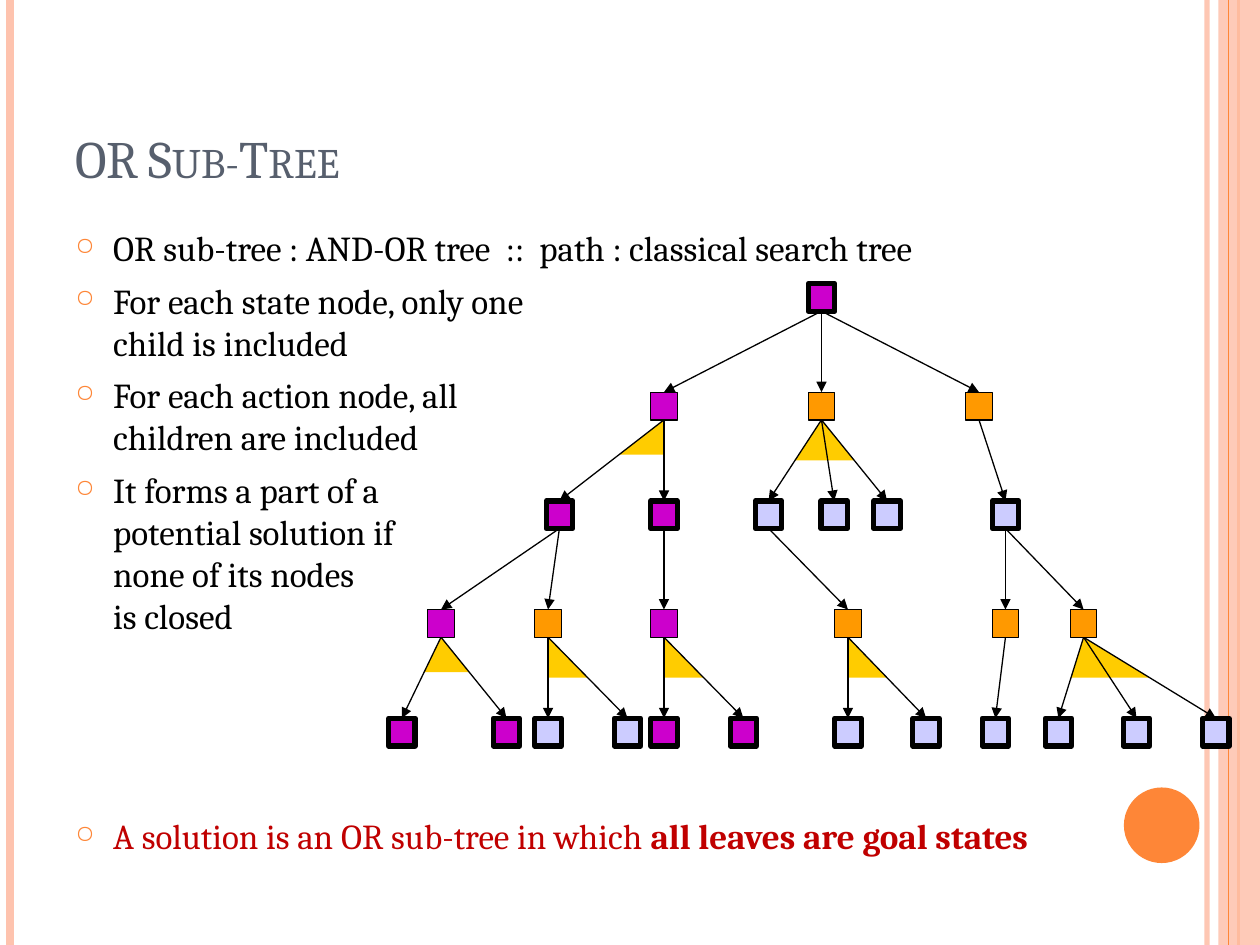
"""Build the slide on OR sub-trees of an AND-OR search tree."""
from lxml import etree
from pptx import Presentation
from pptx.dml.color import RGBColor
from pptx.enum.shapes import MSO_CONNECTOR, MSO_SHAPE
from pptx.enum.text import MSO_ANCHOR, MSO_AUTO_SIZE, PP_ALIGN
from pptx.oxml.ns import qn
from pptx.util import Inches, Pt

LINE = MSO_CONNECTOR.STRAIGHT
RECT, OVAL = MSO_SHAPE.RECTANGLE, MSO_SHAPE.OVAL
BOTTOM, TOP = MSO_ANCHOR.BOTTOM, MSO_ANCHOR.TOP
LEFT, FIXED = PP_ALIGN.LEFT, MSO_AUTO_SIZE.NONE


class Theme:
    font = "Cambria"
    title, body = Pt(30), Pt(20)
    slate, black, red = "575F6D", "000000", "C00000"
    pink, orange = "FEC3AE", "FE8637"
    picked, state, action, wedge = "CC00CC", "CCCCFF", "FF9900", "FFCC00"
    thin, thick = 0.75, 3


prs = Presentation()
prs.slide_width, prs.slide_height = Inches(10), Inches(7.5)
slide = prs.slides.add_slide(prs.slide_layouts[5])
shapes = slide.shapes


def add_line(start, end, color, width, alpha=100, arrow=False):
    link = shapes.add_connector(LINE, *map(Inches, start + end))
    link.line.color.rgb = RGBColor.from_string(color)
    link.line.width = Pt(width)
    props = link._element.spPr
    if alpha < 100:
        tint = next(props.iter(qn("a:srgbClr")))
        etree.SubElement(tint, qn("a:alpha"), val=str(alpha * 1000))
    if arrow:
        etree.SubElement(props.find(qn("a:ln")), qn("a:tailEnd"), type="triangle")
    etree.SubElement(props, qn("a:effectLst"))


def paint(shape, color, width=0):
    shape.shadow.inherit = False
    shape.fill.solid()
    shape.fill.fore_color.rgb = RGBColor.from_string(color)
    if width:
        shape.line.color.rgb = RGBColor.from_string(Theme.black)
        shape.line.width = Pt(width)
    else:
        shape.line.fill.background()


for x, color, width, alpha in (
    (9.58, Theme.pink, 3, 93),
    (0.08, Theme.pink, 4.5, 100),
    (9.83, Theme.orange, 1.5, 100),
):
    add_line((x, 0), (x, 7.5), color, width, alpha)
band = shapes.add_shape(RECT, Inches(9.67), 0, Inches(0.33), Inches(7.5))
paint(band, Theme.pink)
tint = next(band._element.spPr.iter(qn("a:srgbClr")))
etree.SubElement(tint, qn("a:alpha"), val="87000")
add_line((9.75, 0), (9.75, 7.5), Theme.orange, Theme.thin)
disc = shapes.add_shape(OVAL, Inches(8.92), Inches(6.25), Inches(0.6), Inches(0.6))
paint(disc, Theme.orange)

title = shapes.title
title.left, title.top = Inches(0.5), Inches(0.3)
title.width, title.height = Inches(8.17), Inches(1.25)
body = shapes.add_textbox(Inches(0.5), Inches(1.75), Inches(8.17), Inches(5.33))
for box, anchor in ((title, BOTTOM), (body, TOP)):
    form = {"word_wrap": True, "auto_size": FIXED, "vertical_anchor": anchor}
    for key, value in form.items():
        setattr(box.text_frame, key, value)

para = title.text_frame.paragraphs[0]
para.alignment = LEFT
run = para.add_run()
run.text = "OR Sub-Tree"
run._r.get_or_add_rPr().set("cap", "small")
for key, value in {"name": Theme.font, "size": Theme.title}.items():
    setattr(run.font, key, value)
run.font.color.rgb = RGBColor.from_string(Theme.slate)

points = (
    (0, Theme.black, ["OR sub-tree : AND-OR tree  ::  path : classical search tree"], ""),
    (6, Theme.black, ["For each state node, only one", "child is included"], ""),
    (6, Theme.black, ["For each action node, all", "children are included"], ""),
    (6, Theme.black, ["It forms a part of a", "potential solution if",
                      "none of its nodes", "is closed"], ""),
    (102, Theme.red, ["A solution is an OR sub-tree in which "],
     "all leaves are goal states"),
)
for i, (gap, color, rows, strong) in enumerate(points):
    frame = body.text_frame
    para = frame.add_paragraph() if i else frame.paragraphs[0]
    props = para._p.get_or_add_pPr()
    props.set("marL", str(Inches(0.3)))
    props.set("indent", str(Inches(-0.3)))
    mark = etree.SubElement(props, qn("a:buClr"))
    etree.SubElement(mark, qn("a:srgbClr"), val=Theme.orange)
    etree.SubElement(props, qn("a:buSzPct"), val="70000")
    etree.SubElement(props, qn("a:buChar"), char="○")
    para.space_before = Pt(gap)
    for j, row in enumerate(rows):
        if j:
            para.add_line_break()
        para.add_run().text = row
    if strong:
        run = para.add_run()
        run.text = strong
        run.font.bold = True
    for run in para.runs:
        for key, value in {"name": Theme.font, "size": Theme.body}.items():
            setattr(run.font, key, value)
        run.font.color.rgb = RGBColor.from_string(color)

# Each node: centre, parent index, whether picked, share of its edges in the wedge
tree = (
    ((6.52, 0, True, 0),),
    ((5.27, 0, True, 0.43), (6.52, 0, False, 0.5), (7.77, 0, False, 0)),
    ((4.44, 0, True, 0), (5.27, 0, True, 0), (6.1, 1, False, 0),
     (6.62, 1, False, 0), (7.04, 1, False, 0), (7.98, 2, False, 0)),
    ((3.5, 0, True, 0.43), (4.35, 0, False, 0.5), (5.27, 1, True, 0.5),
     (6.73, 2, False, 0.5), (7.98, 5, False, 0), (8.6, 5, False, 0.5)),
    ((3.19, 0, True, 0), (4.02, 0, True, 0), (4.35, 1, False, 0),
     (4.98, 1, False, 0), (5.27, 2, True, 0), (5.9, 2, True, 0),
     (6.73, 3, False, 0), (7.35, 3, False, 0), (7.9, 4, False, 0),
     (8.4, 5, False, 0), (9.02, 5, False, 0), (9.65, 5, False, 0)),
)
first, step, wide, high = 2.25, 0.8625, 0.21, 0.22
drop = step - high

for level, (upper, lower) in enumerate(zip(tree, tree[1:])):
    base = first + level * step + high
    for i, (x, _, _, share) in enumerate(upper):
        kids = [node[0] for node in lower if node[1] == i]
        if share:
            ends = [(x + share * (kid - x), base + share * drop)
                    for kid in (kids[0], kids[-1])]
            path = shapes.build_freeform(Inches(x), Inches(base))
            path.add_line_segments([tuple(map(Inches, end)) for end in ends])
            paint(path.convert_to_shape(), Theme.wedge)
        for kid in kids:
            add_line((x, base), (kid, base + drop), Theme.black, Theme.thin, arrow=True)

for level, nodes in enumerate(tree):
    plain, width = ((Theme.action, Theme.thin) if level % 2
                    else (Theme.state, Theme.thick))
    for x, _, picked, _ in nodes:
        spot = (x - wide / 2, first + level * step, wide, high)
        node = shapes.add_shape(RECT, *map(Inches, spot))
        paint(node, Theme.picked if picked else plain, width)

prs.save("out.pptx")
